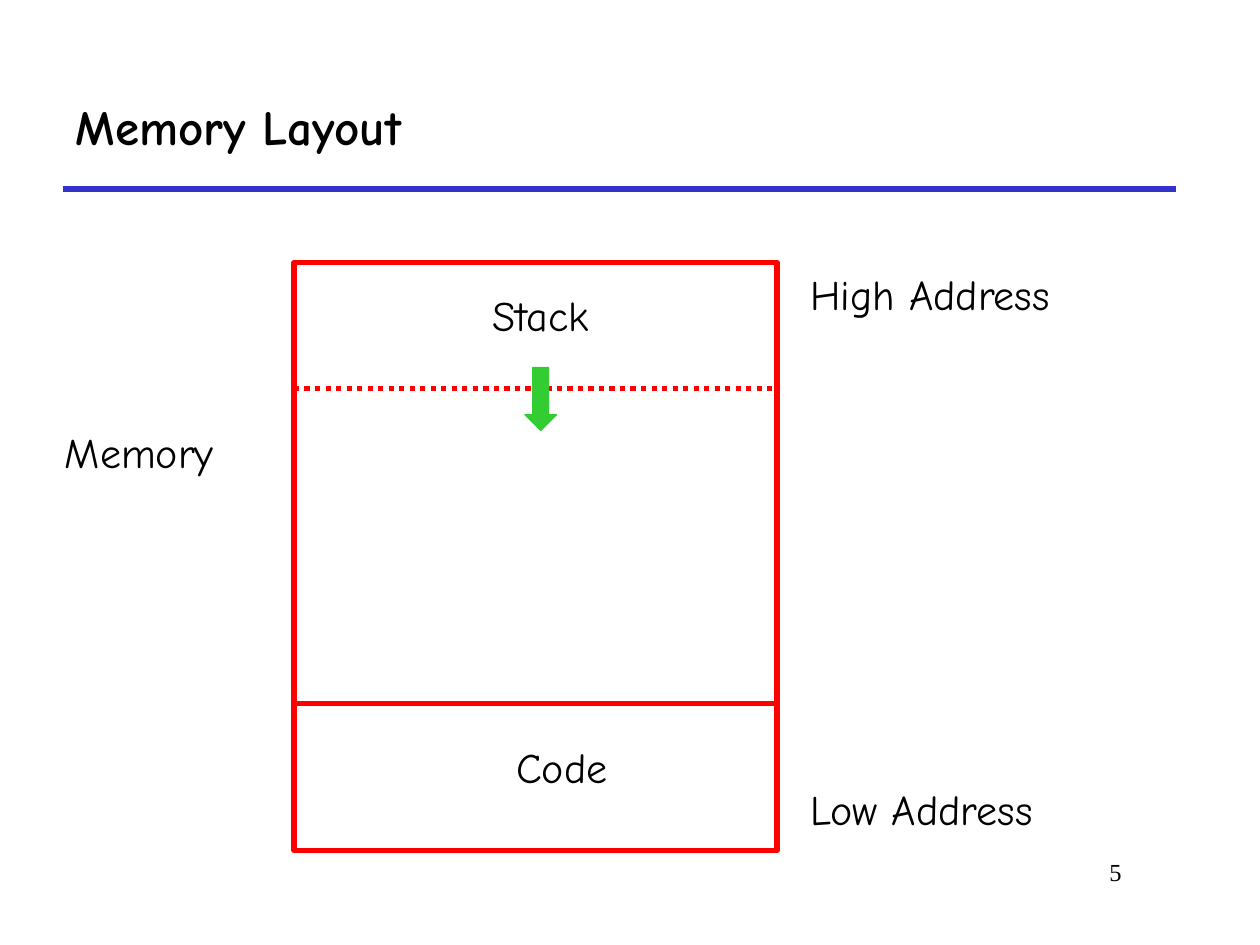
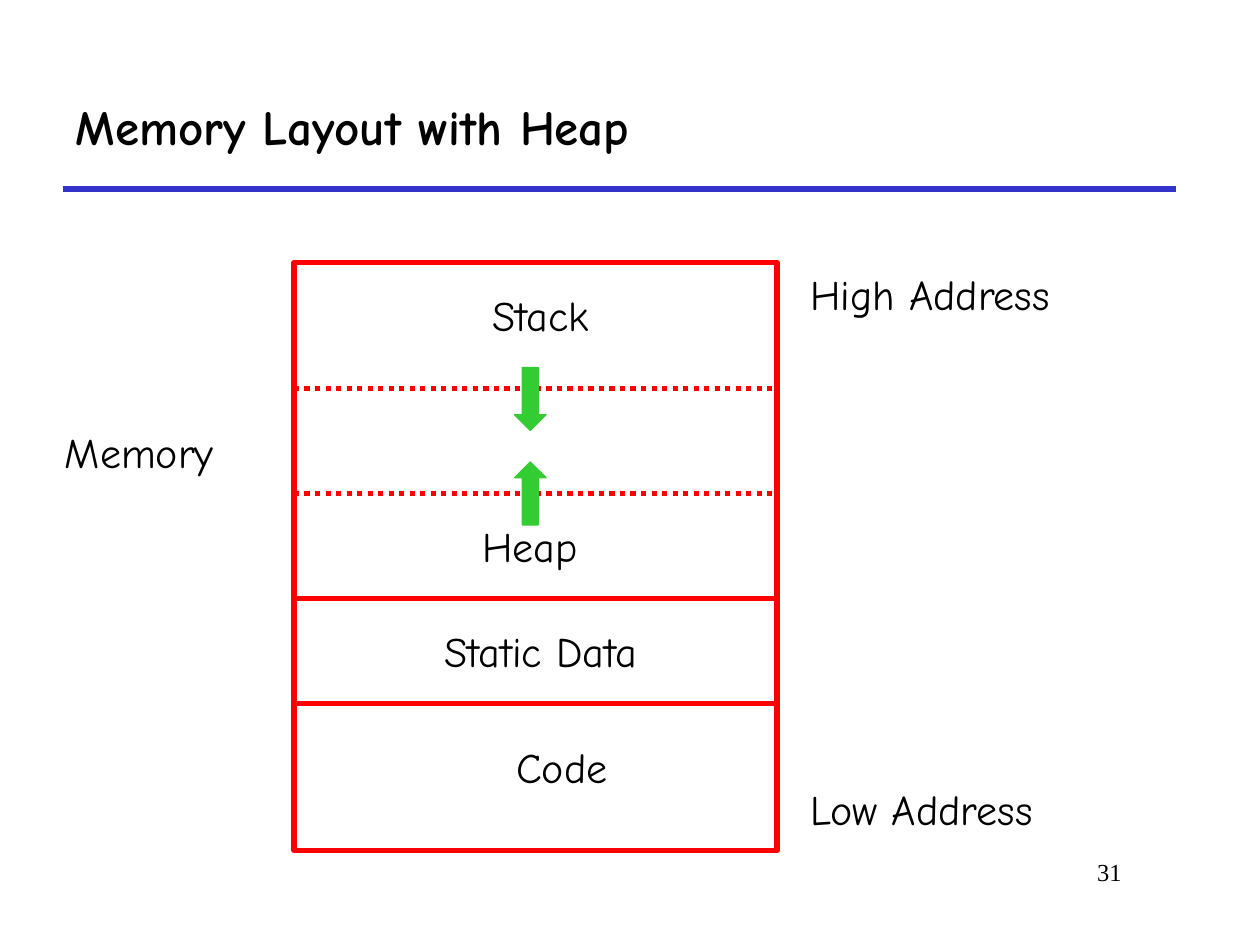
from dataclasses import dataclass

from pptx import Presentation
from pptx.dml.color import RGBColor
from pptx.enum.dml import MSO_LINE
from pptx.enum.shapes import MSO_CONNECTOR, MSO_SHAPE
from pptx.enum.text import MSO_ANCHOR, MSO_AUTO_SIZE, PP_ALIGN
from pptx.oxml.ns import qn
from pptx.util import Emu, Pt
from lxml.etree import SubElement

EMU_PER_PX = 9525
MEMORY_LEFT, MEMORY_TOP = 224, 200
MEMORY_WIDTH, MEMORY_HEIGHT = 368, 448


@dataclass(frozen=True)
class Theme:
    ink: RGBColor = RGBColor(0x00, 0x00, 0x00)
    rule: RGBColor = RGBColor(0x33, 0x33, 0xCC)
    memory: RGBColor = RGBColor(0xFF, 0x00, 0x00)
    growth: RGBColor = RGBColor(0x33, 0xCC, 0x33)
    font: str = "Comic Neue"
    number_font: str = "Times New Roman"
    title_size: int = 28
    label_size: int = 24
    number_size: int = 14
    thick: float = 3
    thin: float = 0.75


def px(length):
    return Emu(length * EMU_PER_PX)


def write(frame, text, *, font, size, color, bold=False, align=PP_ALIGN.LEFT):
    frame.word_wrap = True
    paragraph = frame.paragraphs[0]
    paragraph.alignment = align
    run = paragraph.add_run()
    run.text = text
    run.font.name = font
    run.font.size = Pt(size)
    run.font.bold = bold
    run.font.color.rgb = color


class Deck:
    def __init__(self, theme):
        self.theme = theme
        self.presentation = Presentation()
        self.presentation.slide_width = px(960)
        self.presentation.slide_height = px(720)
        self.slide = None

    def start(self, title, number):
        theme = self.theme
        layout = self.presentation.slide_layouts.get_by_name("Title Only")
        self.slide = self.presentation.slides.add_slide(layout)
        self.line(48, 896, 144, theme.rule)
        heading = self.slide.shapes.title
        heading.left, heading.top = px(48), px(48)
        heading.width, heading.height = px(848), px(96)
        heading.text_frame.vertical_anchor = MSO_ANCHOR.MIDDLE
        write(heading.text_frame, title, font=theme.font, size=theme.title_size,
              color=theme.ink, bold=True)
        self.text(str(number), 664, 648, 200, font=theme.number_font,
                  size=theme.number_size, align=PP_ALIGN.RIGHT)

    def text(self, text, left, top, width, **style):
        theme = self.theme
        box = self.slide.shapes.add_textbox(px(left), px(top), px(width), px(48))
        box.text_frame.auto_size = MSO_AUTO_SIZE.SHAPE_TO_FIT_TEXT
        write(box.text_frame, text, **{"font": theme.font, "size": theme.label_size,
                                       "color": theme.ink, **style})

    def segment(self, text, left, top, width):
        self.text(text, left, top, width, align=PP_ALIGN.CENTER)

    def line(self, start, end, y, color, dash=None):
        connector = self.slide.shapes.add_connector(
            MSO_CONNECTOR.STRAIGHT, px(start), px(y), px(end), px(y))
        connector.line.color.rgb = color
        connector.line.width = Pt(self.theme.thick)
        if dash:
            connector.line.dash_style = dash
        SubElement(connector._element.spPr, qn("a:effectLst"))

    def divider(self, y, dash=None):
        self.line(MEMORY_LEFT, MEMORY_LEFT + MEMORY_WIDTH, y, self.theme.memory, dash)

    def shape(self, kind, left, top, width, height, color, weight, filled):
        shape = self.slide.shapes.add_shape(kind, px(left), px(top), px(width), px(height))
        shape.shadow.inherit = False
        shape.line.color.rgb = color
        shape.line.width = Pt(weight)
        if filled:
            shape.fill.solid()
            shape.fill.fore_color.rgb = color
        else:
            shape.fill.background()

    def growth_arrow(self, kind, left, top):
        self.shape(kind, left, top, 24, 48, self.theme.growth, self.theme.thin, True)

    def memory_layout(self, title, number, stack_arrow_left):
        self.start(title, number)
        self.shape(MSO_SHAPE.RECTANGLE, MEMORY_LEFT, MEMORY_TOP, MEMORY_WIDTH,
                   MEMORY_HEIGHT, self.theme.memory, self.theme.thick, False)
        self.text("Low Address", 608, 592, 248)
        self.text("High Address", 608, MEMORY_TOP, 248)
        self.text("Memory", 40, 320, 168)
        self.divider(536)
        self.segment("Code", 304, 560, 248)
        self.segment("Stack", 304, 216, 216)
        self.divider(296, MSO_LINE.ROUND_DOT)
        self.growth_arrow(MSO_SHAPE.DOWN_ARROW, stack_arrow_left, 280)

    def heap(self, arrow_left):
        self.divider(456)
        self.segment("Static Data", 288, 472, 248)
        self.segment("Heap", 296, 392, 216)
        self.divider(376, MSO_LINE.ROUND_DOT)
        self.growth_arrow(MSO_SHAPE.UP_ARROW, arrow_left, 352)


def main():
    deck = Deck(Theme())
    deck.memory_layout("Memory Layout", 5, stack_arrow_left=400)
    deck.memory_layout("Memory Layout with Heap", 31, stack_arrow_left=392)
    deck.heap(arrow_left=392)
    deck.presentation.save("out.pptx")


if __name__ == "__main__":
    main()
